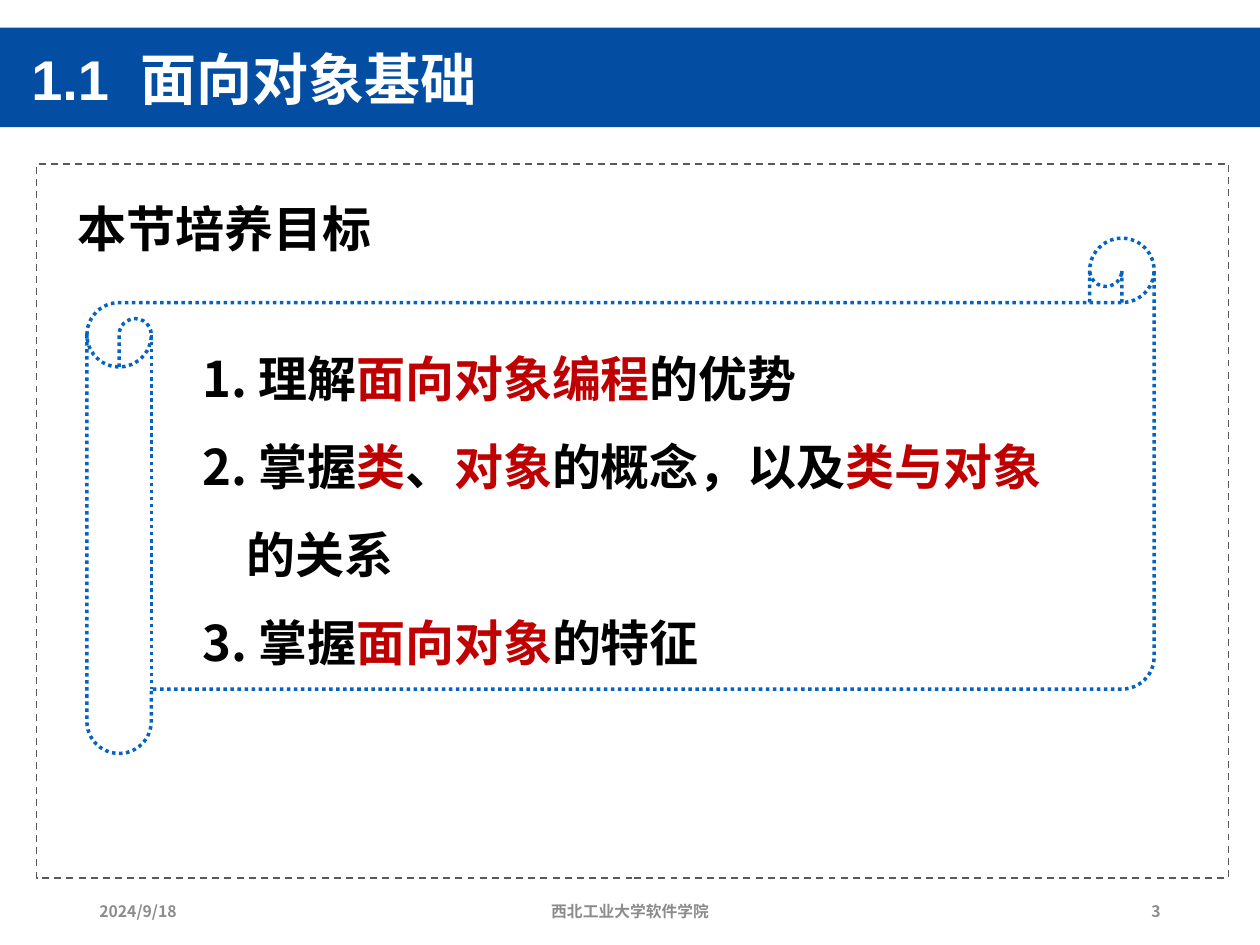
import pptx
import pptx.dml.color
import pptx.enum.dml
import pptx.enum.shapes
import pptx.enum.text
import pptx.oxml
import pptx.oxml.ns
import pptx.util

COLS, ROWS = 100, 75
CELL = pptx.util.Inches(0.1)
CJK = "Noto Sans CJK SC"
BLACK, RED, WHITE, GREY = "000000", "C00000", "FFFFFF", "8C8C8C"
SHAPE = pptx.enum.shapes.MSO_SHAPE
DASH = pptx.enum.dml.MSO_LINE
ALIGN = pptx.enum.text.PP_ALIGN
ANCHOR = pptx.enum.text.MSO_ANCHOR

# Pieces alternate between black and red, starting with black.
GOALS = [
    ["1. 理解", "面向对象编程", "的优势"],
    ["2. 掌握", "类", "、", "对象", "的概念，以及", "类与对象"],
    ["的关系"],
    ["3. 掌握", "面向对象", "的特征"],
]
GOAL_INDENTS = [0, 0, 3.5, 0]


def grid(*cells):
    """Turn columns and rows of the slide grid into lengths."""
    return [int(n * CELL) for n in cells]


def rgb(code):
    return pptx.dml.color.RGBColor.from_string(code)


def set_values(target, values):
    for name, value in values.items():
        setattr(target, name, value)


def add_run(p, text, size, color, font=CJK):
    r = p.add_run()
    r.text = text
    set_values(r.font, {"size": pptx.util.Pt(size), "bold": True, "name": font})
    r.font.color.rgb = rgb(color)
    ea = pptx.oxml.parse_xml(f'<a:ea {pptx.oxml.ns.nsdecls("a")} typeface="{CJK}"/>')
    r.font._element.append(ea)


def add_box(s, at, anchor=ANCHOR.MIDDLE):
    """Add a wrapping text box and return its text frame."""
    tf = s.shapes.add_textbox(*grid(*at)).text_frame
    set_values(tf, {"word_wrap": True, "vertical_anchor": anchor})
    return tf


def add_label(s, at, text, size, color, font=CJK, **paragraph_format):
    p = add_box(s, at).paragraphs[0]
    set_values(p, paragraph_format)
    add_run(p, text, size, color, font)


def add_band(s, at, color):
    sp = s.shapes.add_shape(SHAPE.RECTANGLE, *grid(*at))
    sp.shadow.inherit = False
    sp.fill.solid()
    sp.fill.fore_color.rgb = rgb(color)
    sp.line.fill.background()


def add_outline(s, kind, at, color, width, dash):
    sp = s.shapes.add_shape(kind, *grid(*at))
    sp.shadow.inherit = False
    sp.fill.background()
    sp.line.color.rgb = rgb(color)
    set_values(sp.line, {"width": pptx.util.Pt(width), "dash_style": dash})


def add_goals(s, at):
    tf = add_box(s, at, ANCHOR.TOP)
    for i, (pieces, indent) in enumerate(zip(GOALS, GOAL_INDENTS)):
        p = tf.paragraphs[0] if i == 0 else tf.add_paragraph()
        set_values(p, {"alignment": ALIGN.JUSTIFY, "line_spacing": 1.5})
        if indent:
            p._p.get_or_add_pPr().set("marL", str(grid(indent)[0]))
        for j, piece in enumerate(pieces):
            add_run(p, piece, 28, RED if j % 2 else BLACK)


def add_footer(s):
    items = [
        (6.9, 22.5, "2024/9/18", ALIGN.LEFT),
        (33.1, 33.8, "西北工业大学软件学院", ALIGN.CENTER),
        (70.6, 22.5, "3", ALIGN.RIGHT),
    ]
    for col, width, text, alignment in items:
        add_label(s, (col, 70.3, width, 4), text, 9, GREY, alignment=alignment)


def main():
    prs = pptx.Presentation()
    prs.slide_width, prs.slide_height = grid(COLS, ROWS)
    s = prs.slides.add_slide(prs.slide_layouts[6])
    add_label(s, (5.2, 14.6, 87.5, 7), "本节培养目标", 28, BLACK)
    add_band(s, (0, 2.2, COLS, 7.9), "034EA2")
    add_footer(s)
    add_label(s, (1.5, 2.9, 74.9, 7.2), "1.1 \u00a0面向对象基础", 32, WHITE,
              "Arial", line_spacing=0.9)
    add_outline(s, SHAPE.RECTANGLE, (2.9, 13, 94.6, 56.7), "595959", 1, DASH.DASH)
    add_outline(s, SHAPE.HORIZONTAL_SCROLL, (6.9, 18.9, 84.7, 40.9),
                "0563C1", 2, DASH.ROUND_DOT)
    add_goals(s, (15.1, 24.8, 70.1, 29.3))
    prs.save("out.pptx")


if __name__ == "__main__":
    main()
